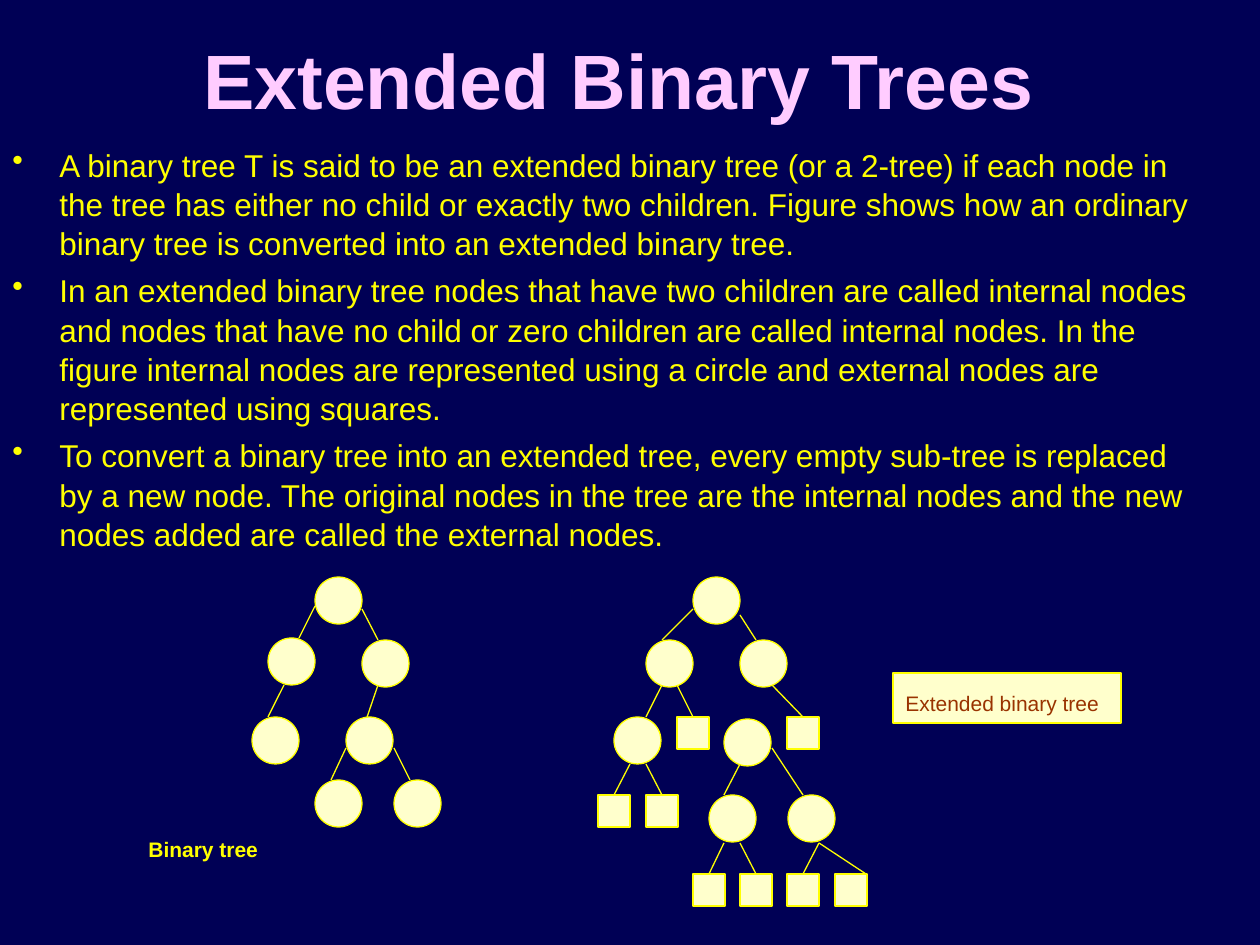
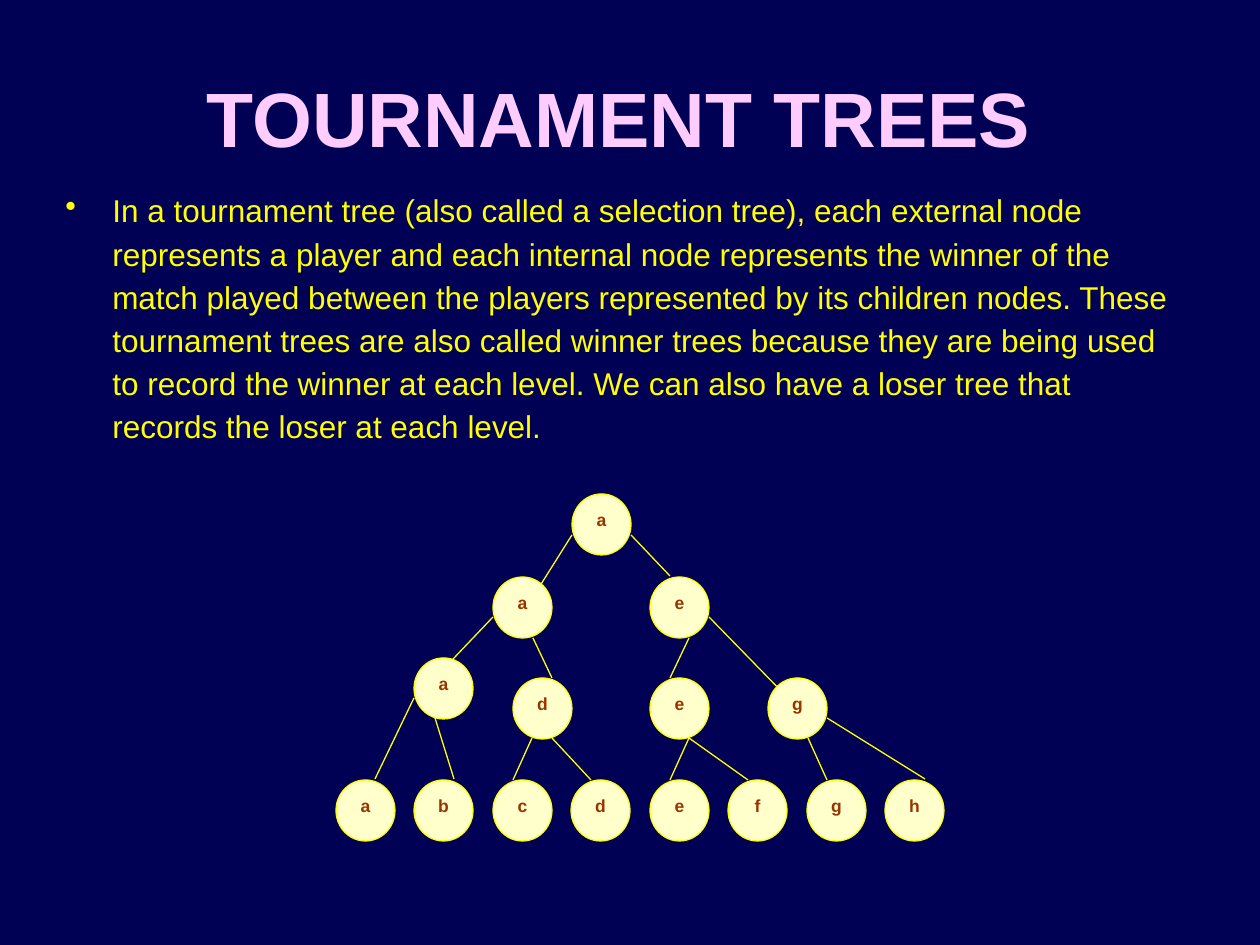
from lxml import etree
from pptx import Presentation
from pptx.dml.color import RGBColor
from pptx.enum.shapes import MSO_CONNECTOR, MSO_SHAPE
from pptx.enum.text import MSO_ANCHOR, PP_ALIGN
from pptx.oxml.ns import qn
from pptx.util import Pt

CIRCLE, SQUARE = MSO_SHAPE.OVAL, MSO_SHAPE.RECTANGLE
STRAIGHT = MSO_CONNECTOR.STRAIGHT
CENTER = PP_ALIGN.CENTER
TOP, MIDDLE = MSO_ANCHOR.TOP, MSO_ANCHOR.MIDDLE
TOP_SIDE = 0

FONT = "Arial"
COLORS = {name: RGBColor.from_string(value) for name, value in {
    "background": "000055", "title": "FFCCFF", "yellow": "FFFF00",
    "node": "FFFFCC", "node_text": "993300"}.items()}
INDENT = 47


def px(*lengths):
    """Turn pixel lengths (126 to the inch) into EMU."""
    return [round(length * 914400 / 126) for length in lengths]


def write(shape, lines, size, color, bold=False, align=None, anchor=TOP):
    """Fill a shape with paragraphs in one style."""
    frame = shape.text_frame
    frame.word_wrap = True
    frame.vertical_anchor = anchor
    frame.text = "\n".join(lines)
    for paragraph in frame.paragraphs:
        paragraph.alignment = align
        for run in paragraph.runs:
            run.font.name = FONT
            run.font.size = Pt(size)
            run.font.bold = bold
            run.font.color.rgb = COLORS[color]


# Extended binary trees: nodes are left, top; edges are x1, y1, x2, y2
extended = {
    "title": "Extended Binary Trees", "title_top": 0,
    "body_box": (0, 138, 1207, 441), "line_spacing": 1.04,
    "body": [
        "A binary tree T is said to be an extended binary tree (or a 2-tree) if each node in the tree has "
        "either no child or exactly two children. Figure shows how an ordinary binary tree is converted "
        "into an extended binary tree.",
        "In an extended binary tree nodes that have two children are called internal nodes and nodes that "
        "have no child or zero children are called internal nodes. In the figure internal nodes are "
        "represented using a circle and external nodes are represented using squares.",
        "To convert a binary tree into an extended tree, every empty sub-tree is replaced by a new node. "
        "The original nodes in the tree are the internal nodes and the new nodes added are called the "
        "external nodes."],
    "node_size": (47, 47),
    "nodes": [(x, y, "") for x, y in [
        (315, 577), (268, 638), (362, 640), (252, 717), (346, 717), (315, 780), (394, 780),
        (693, 577), (646, 640), (740, 640), (614, 717), (724, 719), (709, 795), (788, 795)]],
    "edges": [
        (315, 606, 299, 638), (362, 609, 378, 640), (284, 685, 268, 717),
        (378, 685, 362, 732), (346, 748, 331, 780), (394, 748, 410, 780),
        (693, 609, 662, 640), (740, 615, 756, 640), (662, 685, 646, 717),
        (740, 764, 724, 795), (772, 748, 803, 795), (819, 843, 866, 874)],
}

# Tournament tree: the eight players stand in an evenly spaced bottom row
players = [(336 + 157 * i // 2, 780, name) for i, name in enumerate("abcdefgh")]
tournament = {
    "title": "TOURNAMENT TREES", "title_top": 38,
    "body_box": (53, 180, 1134, 624), "line_spacing": 1.145,
    "body": [
        "In a tournament tree (also called a selection tree), each external node represents a player and "
        "each internal node represents the winner of the match played between the players represented by "
        "its children nodes. These tournament trees are also called winner trees because they are being "
        "used to record the winner at each level. We can also have a loser tree that records the loser at "
        "each level."],
    "node_size": (59, 61),
    "nodes": [
        (572, 494, "a"), (493, 577, "a"), (650, 577, "e"),
        (414, 658, "a"), (513, 678, "d"), (650, 678, "e"), (768, 678, "g")] + players,
    "edges": [
        (572, 535, 533, 597), (631, 535, 670, 576), (493, 617, 435, 678), (533, 638, 552, 678),
        (689, 638, 670, 678), (709, 617, 788, 698), (414, 698, 375, 779), (435, 718, 454, 779),
        (532, 738, 513, 780), (552, 738, 591, 780), (689, 738, 670, 780), (689, 738, 748, 780),
        (808, 738, 827, 780), (827, 718, 925, 779)],
}

# External nodes: left, top, then the start of the edge that leads to them
external_nodes = [
    (677, 717, 677, 685), (787, 717, 772, 685),
    (646, 795, 646, 764), (598, 795, 630, 764),
    (740, 874, 740, 843), (693, 874, 724, 843), (787, 874, 819, 843),
    (835, 874, None, None)]

deck = Presentation()
deck.slide_width, deck.slide_height = px(1260, 945)

for topic in (extended, tournament):
    slide = deck.slides.add_slide(deck.slide_layouts[6])
    slide.background.fill.solid()
    slide.background.fill.fore_color.rgb = COLORS["background"]
    boxes, edges = [], []

    # Title and bulleted body
    title = slide.shapes.add_textbox(*px(52, topic["title_top"], 1134, 157))
    write(title, [topic["title"]], 44, "title", True, CENTER, MIDDLE)
    body = slide.shapes.add_textbox(*px(*topic["body_box"]))
    write(body, topic["body"], 18, "yellow")
    for i, paragraph in enumerate(body.text_frame.paragraphs):
        props = paragraph._p.get_or_add_pPr()
        props.set("marL", str(px(INDENT)[0]))
        props.set("indent", str(px(-INDENT)[0]))
        bullet_color = etree.SubElement(props, qn("a:buClr"))
        etree.SubElement(bullet_color, qn("a:srgbClr"), val=str(COLORS["yellow"]))
        etree.SubElement(props, qn("a:buChar"), char="•")
        paragraph.line_spacing = topic["line_spacing"]
        paragraph.space_before = Pt(4.5 if i else 0)

    # Edges, then the round nodes over them
    for edge in topic["edges"]:
        edges.append(slide.shapes.add_connector(STRAIGHT, *px(*edge)))
    for left, top, name in topic["nodes"]:
        node = slide.shapes.add_shape(CIRCLE, *px(left, top, *topic["node_size"]))
        boxes.append(node)
        if name:
            write(node, [name], 10, "node_text", True, CENTER)

    # Square nodes and captions of the extended tree
    if topic is extended:
        for left, top, from_x, from_y in external_nodes:
            square = slide.shapes.add_shape(SQUARE, *px(left, top, 32, 32))
            boxes.append(square)
            if from_x is not None:
                edge = slide.shapes.add_connector(STRAIGHT, *px(from_x, from_y, left + 16, top))
                edge.end_connect(square, TOP_SIDE)
                edges.append(edge)
        binary_caption = slide.shapes.add_textbox(*px(136, 819, 144, 50))
        write(binary_caption, ["Binary tree"], 12, "yellow", True, anchor=MIDDLE)
        extended_caption = slide.shapes.add_shape(SQUARE, *px(893, 673, 228, 50))
        write(extended_caption, ["Extended binary tree"], 12, "node_text",
              align=PP_ALIGN.LEFT, anchor=MIDDLE)
        boxes.append(extended_caption)
        for caption in (binary_caption, extended_caption):
            caption.text_frame.margin_top, caption.text_frame.margin_right = px(16, 0)

    # Shared look of nodes and edges
    for box in boxes:
        box.shadow.inherit = False
        box.fill.solid()
        box.fill.fore_color.rgb = COLORS["node"]
    for edge in edges:
        etree.SubElement(edge._element.spPr, qn("a:effectLst"))
    for outlined in boxes + edges:
        outlined.line.color.rgb = COLORS["yellow"]
        outlined.line.width = Pt(0.75)

deck.save("out.pptx")
